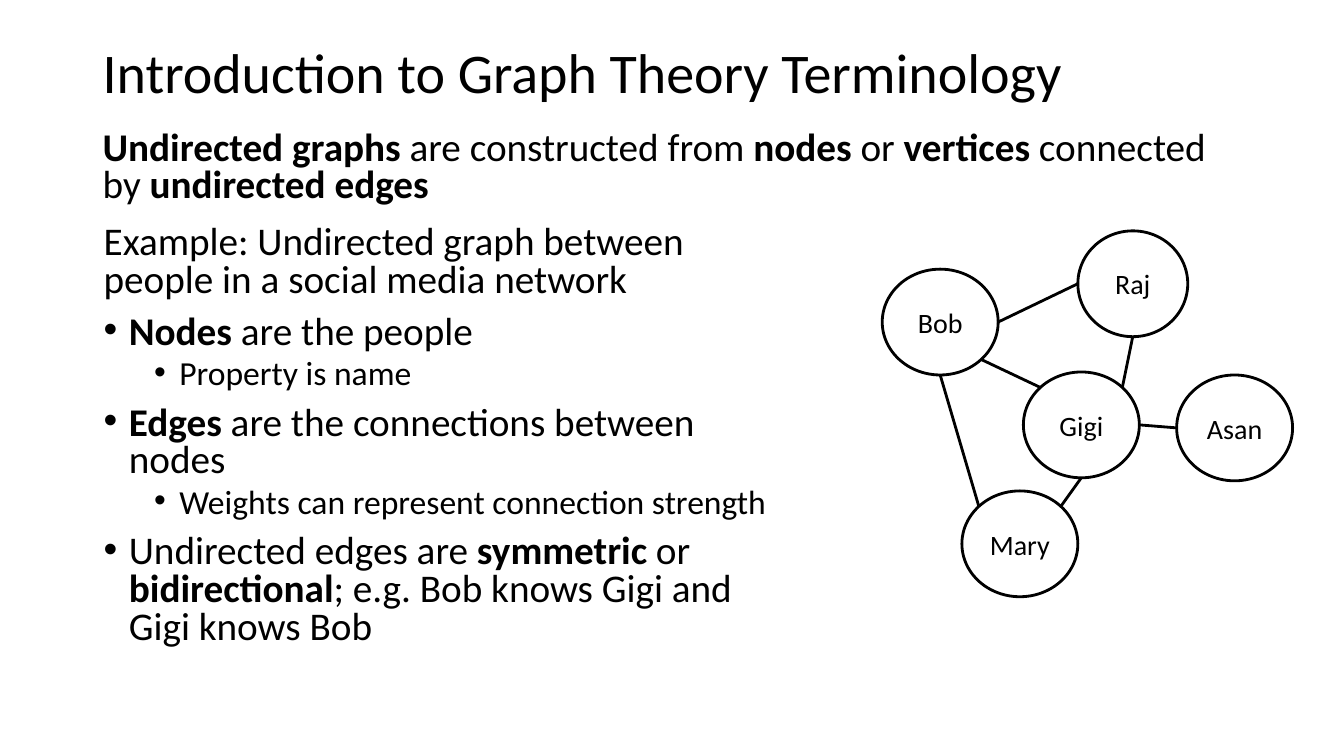
from dataclasses import dataclass
from enum import Enum
from math import cos, radians, sin

from lxml.etree import SubElement
from pptx import Presentation
from pptx.dml.color import RGBColor
from pptx.enum.shapes import MSO_CONNECTOR, MSO_SHAPE
from pptx.enum.text import MSO_ANCHOR, PP_ALIGN
from pptx.oxml.ns import qn
from pptx.slide import Slide
from pptx.text.text import TextFrame
from pptx.util import Inches, Pt


@dataclass(frozen=True)
class Theme:
    font: str = "Calibri"
    bullet_font: str = "Arial"
    ink: RGBColor = RGBColor(0, 0, 0)
    title: int = 40
    body: int = 28
    detail: int = 24
    node: int = 20
    line: int = 2


THEME = Theme()


class Side(Enum):
    RIGHT = 0
    BOTTOM_RIGHT = 45
    BOTTOM = 90
    LEFT = 180
    TOP_LEFT = 225
    TOP_RIGHT = 315


@dataclass(frozen=True)
class Person:
    name: str
    left: float
    top: float
    width: float = 1.15
    height: float = 1.05

    def border_point(self, side: Side) -> tuple[float, float]:
        angle = radians(side.value)
        return (
            self.left + self.width / 2 * (1 + cos(angle)),
            self.top + self.height / 2 * (1 + sin(angle)),
        )


@dataclass(frozen=True)
class Edge:
    start: Person
    start_side: Side
    end: Person
    end_side: Side


@dataclass(frozen=True)
class Point:
    text: str
    level: int = 0
    bullet: bool = True


BOB = Person("Bob", 8.75, 2.67)
RAJ = Person("Raj", 10.69, 2.29, width=1.09)
MARY = Person("Mary", 9.54, 4.87)
GIGI = Person("Gigi", 10.15, 3.69)
ASAN = Person("Asan", 11.67, 3.72)
PEOPLE = (BOB, RAJ, MARY, GIGI, ASAN)

EDGES = (
    Edge(BOB, Side.RIGHT, RAJ, Side.LEFT),
    Edge(GIGI, Side.TOP_RIGHT, RAJ, Side.BOTTOM),
    Edge(GIGI, Side.RIGHT, ASAN, Side.LEFT),
    Edge(MARY, Side.TOP_RIGHT, GIGI, Side.BOTTOM),
    Edge(MARY, Side.TOP_LEFT, BOB, Side.BOTTOM),
    Edge(GIGI, Side.TOP_LEFT, BOB, Side.BOTTOM_RIGHT),
)

TITLE = "Introduction to Graph Theory Terminology"
DEFINITION = (
    "**Undirected graphs** are constructed from **nodes** or **vertices** "
    "connected by **undirected edges**"
)
POINTS = (
    Point("Example: Undirected graph between people in a social media network", bullet=False),
    Point("**Nodes** are the people"),
    Point("Property is name", level=1),
    Point("**Edges** are the connections between nodes"),
    Point("Weights can represent connection strength", level=1),
    Point(
        "Undirected edges are **symmetric** or **bidirectional**; "
        "e.g. Bob knows Gigi and Gigi knows Bob"
    ),
)


def write(
    frame: TextFrame,
    text: str,
    *,
    size: int,
    spacing: float = 1.0,
    before: int = 0,
    align: PP_ALIGN = PP_ALIGN.LEFT,
    level: int = 0,
    bullet: bool = False,
) -> None:
    first = frame.paragraphs[0]
    paragraph = frame.add_paragraph() if first.runs else first
    paragraph.alignment = align
    paragraph.line_spacing = spacing
    paragraph.space_before = Pt(before)
    paragraph.level = level
    if bullet:
        properties = paragraph._p.get_or_add_pPr()
        properties.set("marL", str(Inches(0.25 + 0.5 * level)))
        properties.set("indent", str(Inches(-0.25)))
        SubElement(properties, qn("a:buFont"), typeface=THEME.bullet_font)
        SubElement(properties, qn("a:buChar"), char="•")
    for index, part in enumerate(text.split("**")):
        if part:
            run = paragraph.add_run()
            run.text = part
            run.font.name = THEME.font
            run.font.size = Pt(size)
            run.font.bold = index % 2 == 1
            run.font.color.rgb = THEME.ink


def add_text_area(
    slide: Slide,
    left: float,
    top: float,
    width: float,
    height: float,
    anchor: MSO_ANCHOR = MSO_ANCHOR.TOP,
) -> TextFrame:
    area = slide.shapes.add_textbox(Inches(left), Inches(top), Inches(width), Inches(height))
    area.text_frame.word_wrap = True
    area.text_frame.vertical_anchor = anchor
    return area.text_frame


def draw_person(slide: Slide, person: Person) -> None:
    node = slide.shapes.add_shape(
        MSO_SHAPE.OVAL,
        Inches(person.left),
        Inches(person.top),
        Inches(person.width),
        Inches(person.height),
    )
    node.shadow.inherit = False
    node.fill.background()
    node.line.color.rgb = THEME.ink
    node.line.width = Pt(THEME.line)
    node.text_frame.word_wrap = False
    node.text_frame.vertical_anchor = MSO_ANCHOR.MIDDLE
    write(node.text_frame, person.name, size=THEME.node, align=PP_ALIGN.CENTER)


def draw_edge(slide: Slide, edge: Edge) -> None:
    ends = edge.start.border_point(edge.start_side) + edge.end.border_point(edge.end_side)
    link = slide.shapes.add_connector(MSO_CONNECTOR.STRAIGHT, *map(Inches, ends))
    link.line.color.rgb = THEME.ink
    link.line.width = Pt(THEME.line)
    SubElement(link._element.spPr, qn("a:effectLst"))


def main() -> None:
    presentation = Presentation()
    presentation.slide_width = Inches(13.33)
    presentation.slide_height = Inches(7.5)
    slide = presentation.slides.add_slide(presentation.slide_layouts[6])

    heading = add_text_area(slide, 0.92, 0.24, 11.5, 1.02, MSO_ANCHOR.MIDDLE)
    write(heading, TITLE, size=THEME.title, spacing=0.9)
    definition = add_text_area(slide, 0.92, 1.25, 11.5, 0.94)
    write(definition, DEFINITION, size=THEME.body, spacing=0.8, before=10)

    example = add_text_area(slide, 0.93, 2.19, 7.05, 4.85)
    for point in POINTS:
        write(
            example,
            point.text,
            size=THEME.detail if point.level else THEME.body,
            spacing=0.8,
            before=5 if point.level else 10,
            level=point.level,
            bullet=point.bullet,
        )

    for person in PEOPLE:
        draw_person(slide, person)
    for edge in EDGES:
        draw_edge(slide, edge)

    presentation.save("out.pptx")


if __name__ == "__main__":
    main()
